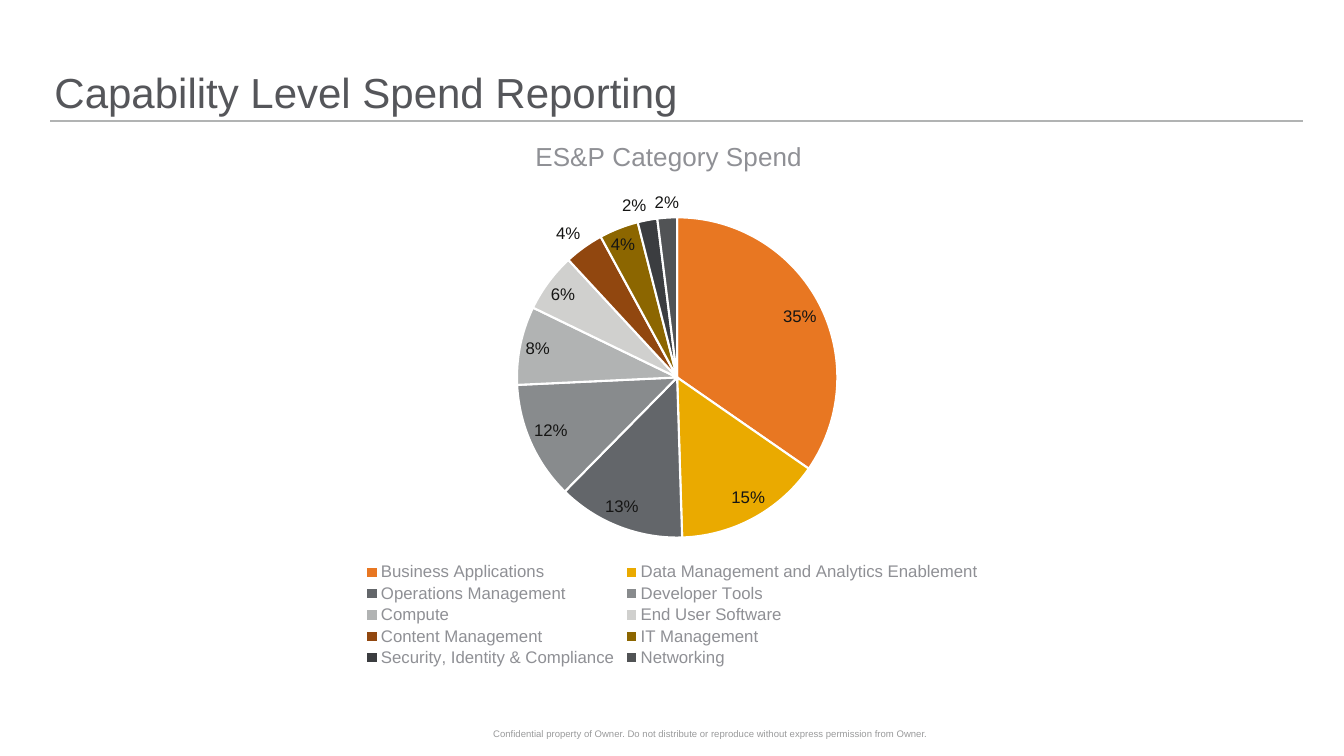
from lxml import etree
from pptx import Presentation
from pptx import util as u
from pptx.chart.data import CategoryChartData
from pptx.dml.color import RGBColor
from pptx.enum import chart as ch, shapes, text
from pptx.oxml import ns

WIDE, HIGH = u.Inches(13.33), u.Inches(7.5)
FACE = "Arial"
WHITE = RGBColor(0xFF, 0xFF, 0xFF)
INK = RGBColor(0x55, 0x56, 0x5A)
RULE = RGBColor(0xB1, 0xB3, 0xB3)
MUTED = RGBColor(0x8F, 0x90, 0x95)
FAINT = RGBColor(0x99, 0x9A, 0x9B)
DARK = RGBColor(0x15, 0x15, 0x14)

SPEND = [
    ("Business Applications", 35, RGBColor(0xE8, 0x77, 0x22)),
    ("Data Management and Analytics Enablement", 15, RGBColor(0xEA, 0xAA, 0x00)),
    ("Operations Management", 13, RGBColor(0x63, 0x66, 0x6A)),
    ("Developer Tools", 12, RGBColor(0x88, 0x8B, 0x8D)),
    ("Compute", 8, RULE),
    ("End User Software", 6, RGBColor(0xD0, 0xD0, 0xCE)),
    ("Content Management", 4, RGBColor(0x91, 0x47, 0x0F)),
    ("IT Management", 4, RGBColor(0x8C, 0x66, 0x00)),
    ("Security, Identity & Compliance", 2, RGBColor(0x3B, 0x3D, 0x40)),
    ("Networking", 2, RGBColor(0x51, 0x53, 0x55)),
]


def area(left, top, width, height):
    return [u.Inches(n) for n in (left, top, width, height)]


def style(font, size, color):
    font.name, font.size, font.bold = FACE, u.Pt(size), False
    font.color.rgb = color


def write(frame, words, size, color, align, anchor):
    frame.word_wrap = True
    frame.auto_size = text.MSO_AUTO_SIZE.NONE
    frame.margin_left = frame.margin_right = 0
    frame.margin_top = frame.margin_bottom = 0
    frame.vertical_anchor = anchor
    para = frame.paragraphs[0]
    para.alignment, para.line_spacing = align, 0.9
    run = para.add_run()
    run.text = words
    style(run.font, size, color)


def head(slide, words):
    title = slide.shapes.title
    title.left, title.top, title.width, title.height = area(0.54, 0, 12.38, 1.17)
    write(title.text_frame, words, 30, INK, text.PP_ALIGN.LEFT, text.MSO_ANCHOR.BOTTOM)


def rule(slide, left, right, top):
    ends = [u.Inches(n) for n in (left, top, right, top)]
    line = slide.shapes.add_connector(shapes.MSO_CONNECTOR.STRAIGHT, *ends)
    line.line.color.rgb, line.line.width = RULE, u.Pt(1)
    etree.SubElement(line.element.spPr, ns.qn("a:effectLst"))


def note(slide, words):
    box = slide.shapes.add_textbox(*area(4.34, 7.09, 4.86, 0.4))
    write(box.text_frame, words, 6.8, FAINT, text.PP_ALIGN.RIGHT, text.MSO_ANCHOR.MIDDLE)


def place(part, index, **share):
    layout = part.find(ns.qn("c:layout"))
    if layout is None:
        layout = etree.Element(ns.qn("c:layout"))
        part.insert(index, layout)
    manual = etree.SubElement(layout, ns.qn("c:manualLayout"))
    if index == 0:
        etree.SubElement(manual, ns.qn("c:layoutTarget"), val="inner")
    for side in "xy":
        etree.SubElement(manual, ns.qn(f"c:{side}Mode"), val="edge")
    for key, value in share.items():
        etree.SubElement(manual, ns.qn(f"c:{key}"), val=str(value))


def pie(slide, words):
    data = CategoryChartData()
    data.categories = [name for name, _, _ in SPEND]
    data.add_series("Series 1", [value for _, value, _ in SPEND])
    frame = slide.shapes.add_chart(
        ch.XL_CHART_TYPE.PIE, *area(1.98, 1.17, 9.38, 5.48), data)
    chart = frame.chart
    style(chart.font, 10, INK)

    chart.has_title = True
    run = chart.chart_title.text_frame.paragraphs[0].add_run()
    run.text = words
    style(run.font, 18.6, MUTED)
    place(chart.chart_title._element, 1, x=0.35, y=0.03)

    chart.has_legend = True
    legend = chart.legend
    legend.position = ch.XL_LEGEND_POSITION.BOTTOM
    legend.include_in_layout = False
    style(legend.font, 12, MUTED)
    place(legend._element, 1, x=0.17, y=0.8, w=0.66, h=0.2)

    plot = chart.plots[0]
    plot.vary_by_categories = True
    place(plot._element.getparent(), 0, x=0.33, y=0.18, w=0.35, h=0.58)
    for index, (_, _, color) in enumerate(SPEND):
        form = plot.series[0].points[index].format
        form.fill.solid()
        form.fill.fore_color.rgb = color
        form.line.color.rgb, form.line.width = WHITE, u.Pt(1.5)

    plot.has_data_labels = True
    labels = plot.data_labels
    labels.show_value, labels.show_percentage = False, True
    labels.number_format, labels.number_format_is_linked = "0%", False
    labels.position = ch.XL_LABEL_POSITION.BEST_FIT
    style(labels.font, 12, DARK)


def main():
    deck = Presentation()
    deck.slide_width, deck.slide_height = WIDE, HIGH
    slide = deck.slides.add_slide(deck.slide_layouts[5])
    rule(slide, 0.5, 12.92, 1.2)
    head(slide, "Capability Level Spend Reporting")
    note(slide, "Confidential property of Owner. Do not distribute or "
                "reproduce without express permission from Owner.")
    pie(slide, "ES&P Category Spend")
    deck.save("out.pptx")


if __name__ == "__main__":
    main()
